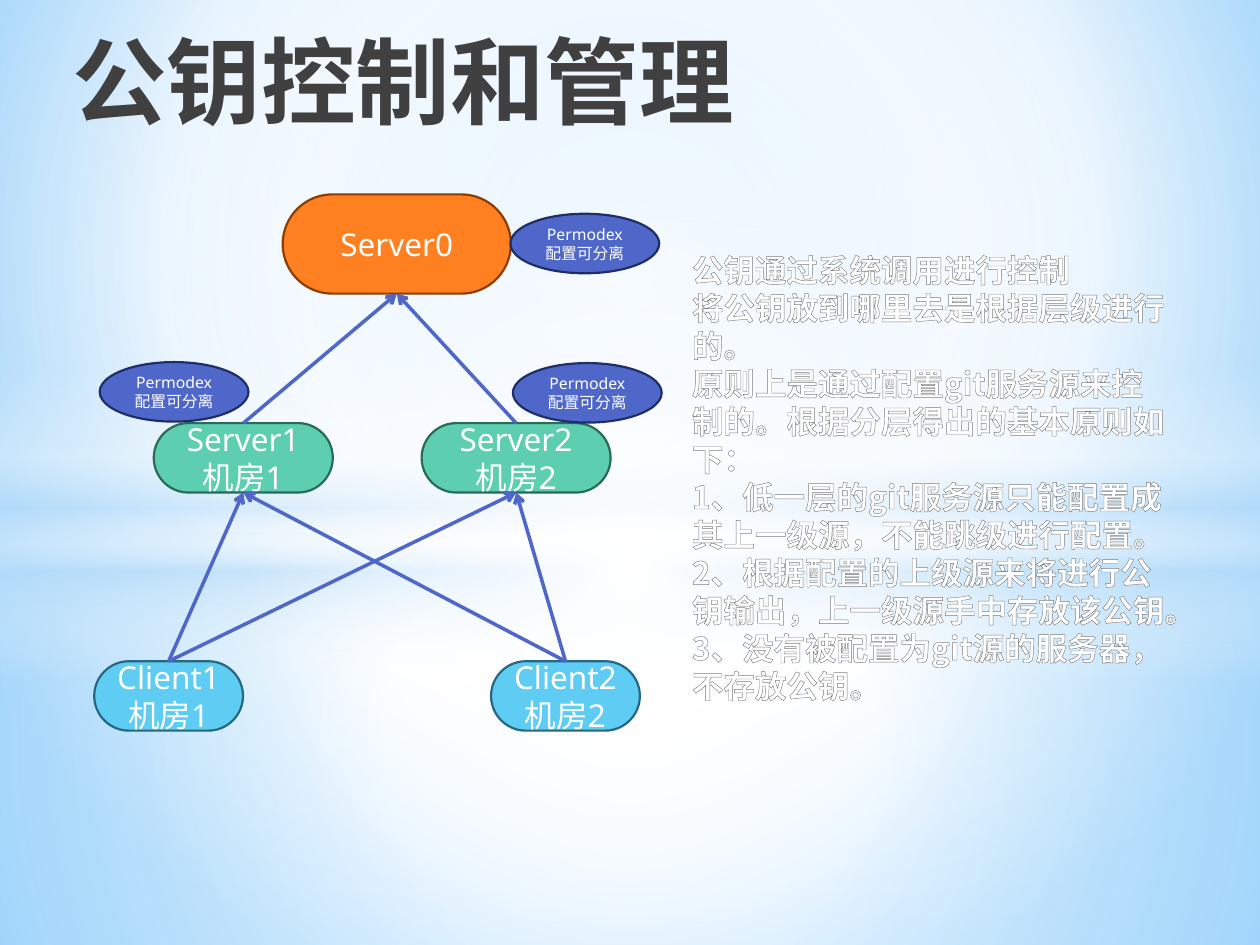
from dataclasses import dataclass
from typing import NamedTuple

from lxml.etree import SubElement
from pptx import Presentation
from pptx.dml.color import RGBColor
from pptx.enum.shapes import MSO_CONNECTOR, MSO_SHAPE
from pptx.enum.text import MSO_ANCHOR, MSO_AUTO_SIZE, PP_ALIGN
from pptx.oxml.ns import qn
from pptx.util import Cm, Pt


class Box(NamedTuple):
    left: float
    top: float
    width: float
    height: float

    def lengths(self) -> list:
        return [Cm(value) for value in self]


class Gradient(NamedTuple):
    stops: tuple  # (position, colour, opacity), in percent
    centre: tuple = ()  # left, top, right, bottom; empty for a vertical one


@dataclass(frozen=True)
class Theme:
    latin: str = "Noto Sans"
    chinese: str = "Noto Sans CJK SC"
    title_size: float = 54
    text_size: float = 18
    badge_size: float = 9
    leading: float = 1.2
    white: str = "FFFFFF"
    blue: str = "4E67C8"
    navy: str = "1F2E69"
    outline: str = "7D7D7D"
    root: tuple = ("FF8021", "8B3D02")
    server: tuple = ("5DCEAF", "276B58")
    client: tuple = ("5ECCF3", "256880")
    title_fill: Gradient = Gradient(((0, "000000", 100), (40, "404040", 100), (100, "212745", 65)))
    body_fill: Gradient = Gradient(((0, "FFFFFF", 100), (9, "FFFFFF", 100), (50, "7F7F7F", 100),
                                    (79, "FFFFFF", 100), (100, "FFFFFF", 100)))
    backdrop: Gradient = Gradient(((0, "9ED5FF", 100), (60, "FFFFFF", 100), (100, "5BB9FF", 100)),
                                  (20, 10, 20, 60))


THEME = Theme()
MIDDLE = (50, 50, 50, 50)


class Glow(NamedTuple):
    preset: MSO_SHAPE
    box: Box
    gradient: Gradient


class Node(NamedTuple):
    lines: tuple
    box: Box
    colours: tuple


GLOWS = (
    Glow(MSO_SHAPE.RECTANGLE, Box(0, 10.74, 25.4, 8.31),
         Gradient(((0, "FFFFFF", 91), (37, "FFFFFF", 76), (100, "B4DCFA", 79)), MIDDLE)),
    Glow(MSO_SHAPE.RECTANGLE, Box(0, 0, 25.4, 10.74),
         Gradient(((0, "FFFFFF", 89), (48, "FFFFFF", 62), (100, "B4DCFA", 79)), MIDDLE)),
    Glow(MSO_SHAPE.RECTANGLE, Box(0, 7.37, 25.4, 6.35),
         Gradient(((0, "FFFFFF", 0), (29, "FFFFFF", 30), (45, "B4DCFA", 40),
                   (55, "FFFFFF", 26), (65, "B4DCFA", 60), (100, "FFFFFF", 0)))),
    Glow(MSO_SHAPE.OVAL, Box(0, 4.44, 25.4, 14.17),
         Gradient(((0, "FFFFFF", 100), (54, "FFFFFF", 0)), MIDDLE)),
)
NODES = (
    Node(("Server0",), Box(5.7, 3.92, 4.6, 2), THEME.root),
    Node(("Server1", "机房1"), Box(3.1, 8.53, 3.61, 1.4), THEME.server),
    Node(("Server2", "机房2"), Box(8.5, 8.53, 3.81, 1.4), THEME.server),
    Node(("Client1", "机房1"), Box(1.9, 13.33, 3, 1.4), THEME.client),
    Node(("Client2", "机房2"), Box(9.9, 13.33, 3, 1.4), THEME.client),
)
UPLINKS = (("Server1", "Server0"), ("Server2", "Server0"), ("Client1", "Server1"),
           ("Client2", "Server2"), ("Client1", "Server2"), ("Client2", "Server1"))
BADGE_LINES = ("Permodex", "配置可分离")
BADGE_CORNERS = ((10.29, 4.31), (2.01, 7.3), (10.34, 7.32))
RULES = (
    "公钥通过系统调用进行控制",
    "将公钥放到哪里去是根据层级进行的。",
    "原则上是通过配置git服务源来控制的。根据分层得出的基本原则如下：",
    "1、低一层的git服务源只能配置成其上一级源，不能跳级进行配置。",
    "2、根据配置的上级源来将进行公钥输出，上一级源手中存放该公钥。",
    "3、没有被配置为git源的服务器，不存放公钥。",
)


def rgb(colour: str) -> RGBColor:
    return RGBColor.from_string(colour)


def fill_gradient(fill, element, gradient: Gradient) -> None:
    """Give fill, which is stored inside element, the stops of gradient."""
    fill.gradient()
    grad = element.find(".//" + qn("a:gradFill"))
    grad.clear()
    grad.set("rotWithShape", "1")
    stops = SubElement(grad, qn("a:gsLst"))
    for position, colour, opacity in gradient.stops:
        stop = SubElement(stops, qn("a:gs"), pos=str(position * 1000))
        tone = SubElement(stop, qn("a:srgbClr"), val=colour)
        if opacity < 100:
            SubElement(tone, qn("a:alpha"), val=str(opacity * 1000))
    if gradient.centre:
        circle = SubElement(grad, qn("a:path"), path="circle")
        sides = {side: str(value * 1000) for side, value in zip("ltrb", gradient.centre)}
        SubElement(circle, qn("a:fillToRect"), **sides)
    else:
        SubElement(grad, qn("a:lin"), ang="5400000", scaled="0")


def write(frame, lines: tuple, size: float, latin: str = THEME.latin,
          align: PP_ALIGN = PP_ALIGN.LEFT) -> list:
    """Write one paragraph per line and return the paragraphs."""
    frame.word_wrap = True
    frame.text = "\n".join(lines)
    for paragraph in frame.paragraphs:
        paragraph.alignment = align
        paragraph.line_spacing = Pt(size * THEME.leading)
        font = paragraph.font
        font.size, font.name = Pt(size), latin
        font.color.rgb = rgb(THEME.white)
        latin_tag = paragraph._p.find(".//" + qn("a:latin"))
        east_asian = SubElement(latin_tag.getparent(), qn("a:ea"), typeface=THEME.chinese)
        latin_tag.addnext(east_asian)
    return list(frame.paragraphs)


def add_glow(shapes, glow: Glow) -> None:
    shape = shapes.add_shape(glow.preset, *glow.box.lengths())
    shape.shadow.inherit = False
    shape.line.fill.background()
    fill_gradient(shape.fill, shape.element, glow.gradient)


def add_node(shapes, node: Node, preset: MSO_SHAPE, size: float):
    shape = shapes.add_shape(preset, *node.box.lengths())
    shape.shadow.inherit = False
    fill, line = node.colours
    shape.fill.solid()
    shape.fill.fore_color.rgb = rgb(fill)
    shape.line.color.rgb = rgb(line)
    shape.line.width = Pt(1.25)
    frame = shape.text_frame
    frame.vertical_anchor = MSO_ANCHOR.MIDDLE
    frame.margin_left = frame.margin_right = 0
    write(frame, node.lines, size, align=PP_ALIGN.CENTER)
    return shape


def add_uplink(shapes, lower, upper) -> None:
    link = shapes.add_connector(MSO_CONNECTOR.STRAIGHT, 0, 0, 0, 0)
    link.begin_connect(lower, 0)
    link.end_connect(upper, 2)
    link.line.color.rgb = rgb(THEME.blue)
    link.line.width = Pt(2)
    SubElement(link.element.spPr.find(qn("a:ln")), qn("a:tailEnd"), type="arrow")
    SubElement(link.element.spPr, qn("a:effectLst"))


deck = Presentation()
deck.slide_width, deck.slide_height = Cm(25.4), Cm(19.05)
slide = deck.slides.add_slide(deck.slide_layouts[5])
shapes = slide.shapes

# Backdrop
fill_gradient(slide.background.fill, slide.element, THEME.backdrop)
for glow in GLOWS:
    add_glow(shapes, glow)

# Title, brought in front of the backdrop
title = shapes.title
title.element.getparent().append(title.element)
title.left, title.top, title.width, title.height = Box(0.7, 0.33, 20, 3).lengths()
title.text_frame.vertical_anchor = MSO_ANCHOR.TOP
title.text_frame.auto_size = MSO_AUTO_SIZE.NONE
heading, = write(title.text_frame, ("公钥控制和管理",), THEME.title_size)
heading.font.bold = True
heading._p.pPr.set("marL", str(Cm(0.5)))
heading._p.pPr.set("indent", "0")
fill_gradient(heading.font.fill, heading._p, THEME.title_fill)

# Key rules in outlined letters
rules = shapes.add_textbox(*Box(13.7, 4.93, 10.21, 9.5).lengths())
for rule in write(rules.text_frame, RULES, THEME.text_size, THEME.chinese):
    rule.font.bold = True
    fill_gradient(rule.font.fill, rule._p, THEME.body_fill)
    outline = SubElement(rule._p.pPr.find(qn("a:defRPr")), qn("a:ln"), w=str(Pt(0.83)))
    outline.getparent().insert(0, outline)
    SubElement(SubElement(outline, qn("a:solidFill")), qn("a:srgbClr"), val=THEME.outline)

# Server tree
machines = {}
for node in NODES:
    machine = add_node(shapes, node, MSO_SHAPE.ROUNDED_RECTANGLE, THEME.text_size)
    machine.adjustments[0] = 0.5
    machines[node.lines[0]] = machine
for lower, upper in UPLINKS:
    add_uplink(shapes, machines[lower], machines[upper])

# Badges on the servers
for left, top in BADGE_CORNERS:
    badge = Node(BADGE_LINES, Box(left, top, 3, 1.2), (THEME.blue, THEME.navy))
    add_node(shapes, badge, MSO_SHAPE.OVAL, THEME.badge_size)

deck.save("out.pptx")
